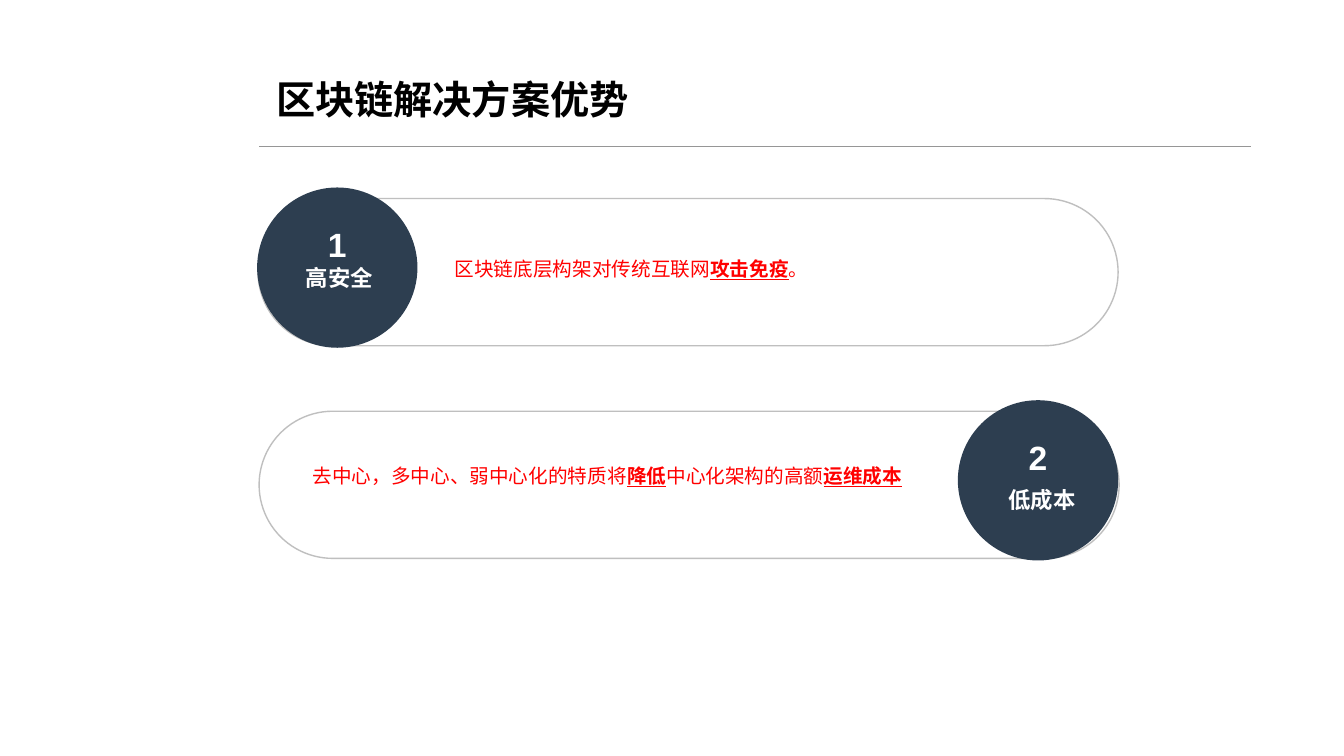
from lxml.etree import SubElement
from pptx import Presentation
from pptx.dml.color import RGBColor as RGB
from pptx.enum.shapes import MSO_CONNECTOR as LINK, MSO_SHAPE as SHAPE
from pptx.enum.text import MSO_ANCHOR as ANCHOR, PP_ALIGN as ALIGN
from pptx.oxml.ns import qn
from pptx.util import Inches, Pt

HEX = {"ink": "000000", "navy": "2D3E50", "edge": "BFBFBF",
       "rule": "969696", "red": "FF0000", "white": "FFFFFF"}
HAN = "Noto Sans CJK SC"
TITLE = {"size": Pt(28), "name": HAN, "bold": True}
BODY = {"size": Pt(14), "name": HAN}
STRONG = {**BODY, "bold": True, "underline": True}
DIGIT = {"size": Pt(24), "name": "Arial", "bold": True}
LABEL = {"size": Pt(16), "name": HAN, "bold": True}


def color(name):
    return RGB.from_string(HEX[name])


def add_text(slide, box, runs, tone, pad=0, align=ALIGN.LEFT, wrap=True):
    """Add one paragraph made of (text, format) runs."""
    frame = slide.shapes.add_textbox(*map(Inches, box)).text_frame
    frame.word_wrap = wrap
    frame.vertical_anchor = ANCHOR.TOP
    for side in ("left", "right", "top", "bottom"):
        setattr(frame, f"margin_{side}", Inches(pad))
    para = frame.paragraphs[0]
    para.alignment = align
    for text, style in runs:
        run = para.add_run()
        run.text = text
        run.font.color.rgb = color(tone)
        for key, value in style.items():
            setattr(run.font, key, value)
        # East Asian glyphs take their typeface from a separate element
        SubElement(run.font._element, qn("a:ea"), typeface=style["name"])


def add_pill(slide, left, top):
    pill = slide.shapes.add_shape(
        SHAPE.ROUNDED_RECTANGLE, *map(Inches, (left, top, 8.53, 1.46)))
    pill.adjustments[0] = 0.5
    pill.shadow.inherit = False
    pill.fill.background()
    pill.line.color.rgb = color("edge")
    pill.line.width = Pt(1)


def add_badge(slide, left, top, digit, label, spot):
    """Add a numbered disc with its label at spot."""
    disc = slide.shapes.add_shape(
        SHAPE.OVAL, *map(Inches, (left, top, 1.59, 1.59)))
    disc.shadow.inherit = False
    disc.fill.solid()
    disc.fill.fore_color.rgb = color("navy")
    disc.line.fill.background()
    add_text(slide, (left + 0.21, top + 0.36, 1.17, 0.38),
             [(digit, DIGIT)], "white", align=ALIGN.CENTER)
    add_text(slide, (*spot, 0.77, 0.37), [(label, LABEL)], "white",
             pad=0.05, align=ALIGN.CENTER, wrap=False)


def add_rule(slide, left, right, top):
    rule = slide.shapes.add_connector(
        LINK.STRAIGHT, *map(Inches, (left, top, right, top)))
    rule.line.color.rgb = color("rule")
    rule.line.width = Pt(0.5)
    SubElement(rule._element.spPr, qn("a:effectLst"))


def main():
    deck = Presentation()
    deck.slide_width, deck.slide_height = Inches(13.33), Inches(7.5)
    slide = deck.slides.add_slide(deck.slide_layouts[6])

    add_text(slide, (2.69, 0.7, 4.56, 0.57),
             [("区块链解决方案优势", TITLE)], "ink", pad=0.05)
    add_rule(slide, 2.57, 12.41, 1.45)

    add_pill(slide, 2.56, 1.97)
    add_text(slide, (4.51, 2.55, 6.37, 0.24),
             [("区块链底层构架对传统互联网", BODY), ("攻击免疫", STRONG),
              ("。", BODY)], "red")
    add_badge(slide, 2.55, 1.86, "1", "高安全", (2.98, 2.57))

    add_pill(slide, 2.57, 4.08)
    add_text(slide, (3.1, 4.6, 6.37, 0.51),
             [("去中心，多中心、弱中心化的特质将", BODY), ("降低", STRONG),
              ("中心化架构的高额", BODY), ("运维成本", STRONG)], "red")
    add_badge(slide, 9.5, 3.97, "2", "低成本", (9.95, 4.77))

    deck.save("out.pptx")


if __name__ == "__main__":
    main()
